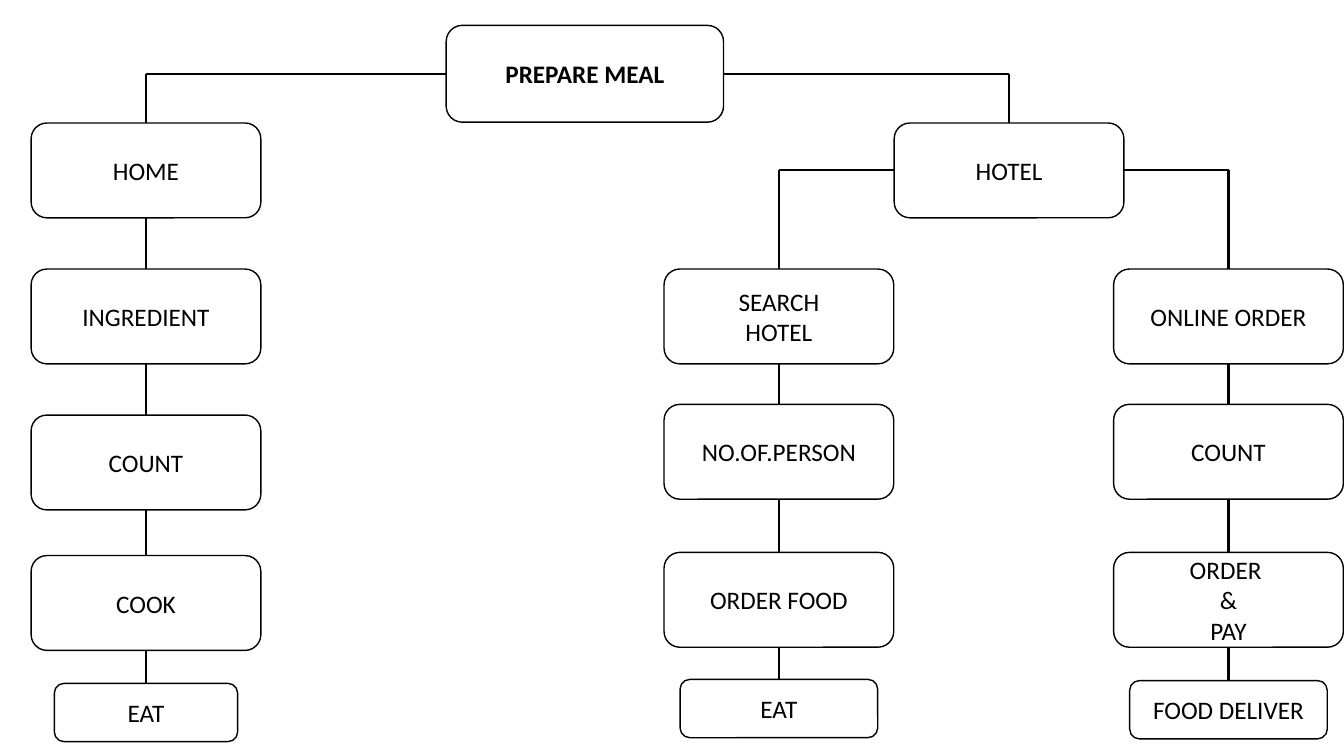
from dataclasses import dataclass
from itertools import pairwise

from lxml import etree
from pptx import Presentation
from pptx import util as u
from pptx.dml.color import RGBColor
from pptx.enum import shapes, text
from pptx.oxml import ns


@dataclass(frozen=True)
class Theme:
    """Colours, type and line widths of the chart."""
    font: str = "Calibri"
    size: float = 18
    ink: RGBColor = RGBColor(0, 0, 0)
    paper: RGBColor = RGBColor(255, 255, 255)
    outline: float = 1
    link: float = 1.5


THEME = Theme()

# Box sizes in cm: width, height
ROOT, STEP, LAST, LAST_HOME = (6.99, 2.44), (5.79, 2.39), (4.98, 1.47), (4.62, 1.47)

# Choices: label lines, centre x, top, size
meal_choice = (["PREPARE MEAL"], 14.74, 0.64, ROOT)
hotel_choice = (["HOTEL"], 25.43, 3.1, STEP)

# Branches: centre x, then label lines, top and size of each step
home_branch = (3.68, [
    (["HOME"], 3.1, STEP),
    (["INGREDIENT"], 6.78, STEP),
    (["COUNT"], 10.46, STEP),
    (["COOK"], 14.0, STEP),
    (["EAT"], 17.22, LAST_HOME),
])
search_branch = (19.63, [
    (["SEARCH", "HOTEL"], 6.78, STEP),
    (["NO.OF.PERSON"], 10.19, STEP),
    (["ORDER FOOD"], 13.92, STEP),
    (["EAT"], 17.12, LAST),
])
online_branch = (30.96, [
    (["ONLINE ORDER"], 6.78, STEP),
    (["COUNT"], 10.19, STEP),
    (["ORDER ", "&", "PAY"], 13.92, STEP),
    (["FOOD DELIVER"], 17.15, LAST),
])

# Connection sites of a rounded rectangle
TOP, LEFT, BOTTOM, RIGHT = range(4)

deck = Presentation()
deck.slide_width, deck.slide_height = u.Cm(33.87), u.Cm(19.05)
slide = deck.slides.add_slide(deck.slide_layouts[6])


def add_box(label, centre, top, size, bold=False):
    """Add a rounded box around a centre x, one paragraph per label line."""
    width, height = size
    box = slide.shapes.add_shape(
        shapes.MSO_SHAPE.ROUNDED_RECTANGLE,
        u.Cm(centre - width / 2), u.Cm(top), u.Cm(width), u.Cm(height))
    box.shadow.inherit = False
    box.fill.solid()
    box.fill.fore_color.rgb = THEME.paper
    box.line.color.rgb = THEME.ink
    box.line.width = u.Pt(THEME.outline)
    frame = box.text_frame
    frame.word_wrap = True
    frame.vertical_anchor = text.MSO_ANCHOR.MIDDLE
    for number, words in enumerate(label):
        line = frame.add_paragraph() if number else frame.paragraphs[0]
        line.alignment = text.PP_ALIGN.CENTER
        run = line.add_run()
        run.text = words
        run.font.name, run.font.size = THEME.font, u.Pt(THEME.size)
        run.font.bold, run.font.color.rgb = bold, THEME.ink
    return box


def add_link(start, end):
    """Add a straight black line between two points."""
    link = slide.shapes.add_connector(shapes.MSO_CONNECTOR.STRAIGHT, *start, *end)
    link.line.color.rgb = THEME.ink
    link.line.width = u.Pt(THEME.link)
    etree.SubElement(link._element.spPr, ns.qn("a:effectLst"))
    return link


def add_branch(centre, steps):
    """Stack the steps of a branch, link them, and return the first box."""
    boxes = [add_box(label, centre, top, size) for label, top, size in steps]
    for upper, lower in pairwise(boxes):
        link = add_link((0, 0), (0, 0))
        link.begin_connect(upper, BOTTOM)
        link.end_connect(lower, TOP)
    return boxes[0]


def fork(parent, left_child, right_child):
    """Link both sides of a parent to the tops of its two children."""
    level = parent.top + parent.height // 2
    for child, side in ((left_child, LEFT), (right_child, RIGHT)):
        corner = (child.left + child.width // 2, level)
        add_link(corner, corner).begin_connect(parent, side)
        add_link(corner, corner).end_connect(child, TOP)


meal = add_box(*meal_choice, bold=True)
hotel = add_box(*hotel_choice)
home, search, online = (
    add_branch(*branch) for branch in (home_branch, search_branch, online_branch))
fork(meal, home, hotel)
fork(hotel, search, online)

deck.save("out.pptx")
